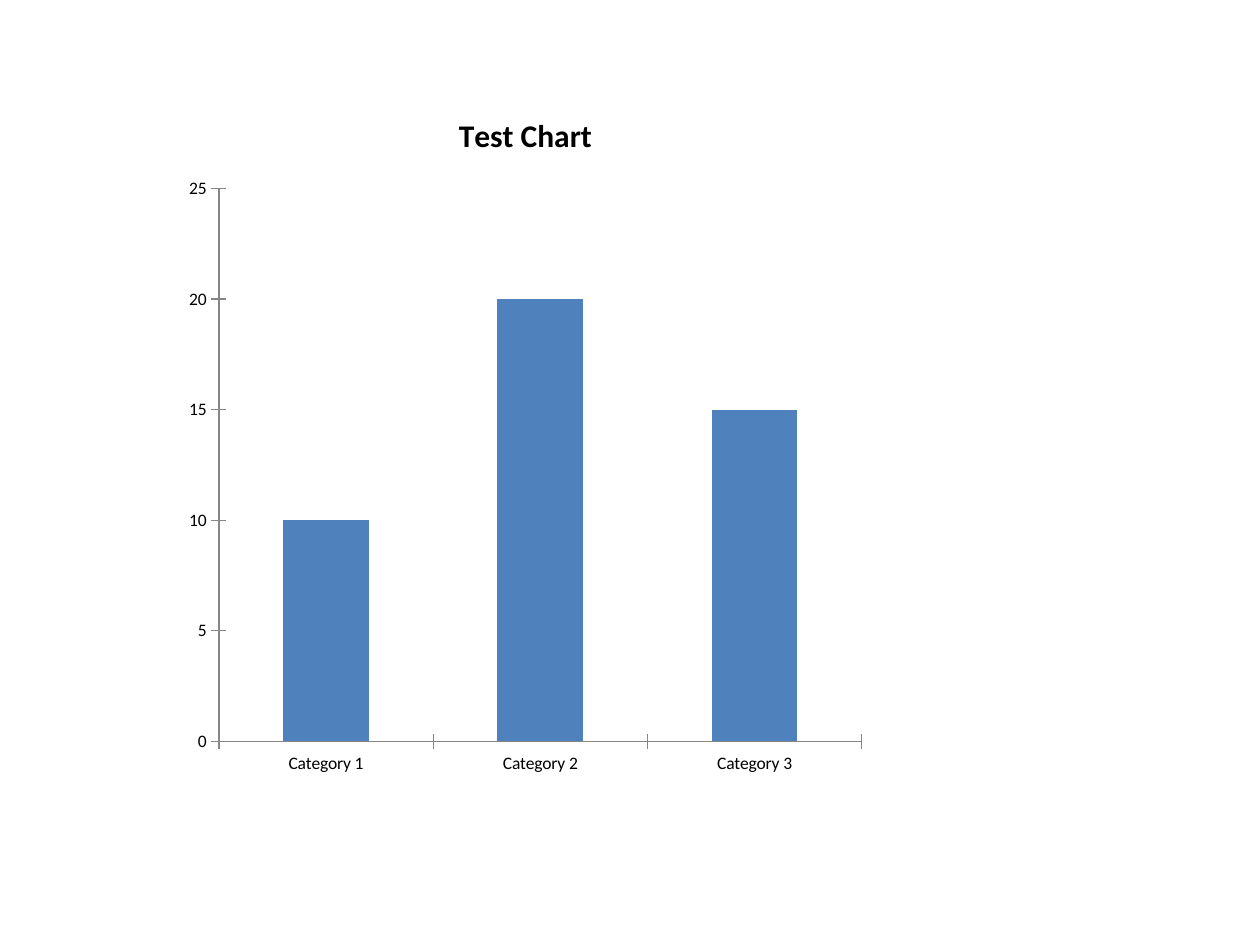
"""Build a slide with one clustered column chart."""
from pptx import Presentation
from pptx.chart.data import CategoryChartData
from pptx.dml.color import RGBColor
from pptx.enum.chart import XL_CHART_TYPE, XL_TICK_MARK
from pptx.util import Inches, Pt

COLUMNS = XL_CHART_TYPE.COLUMN_CLUSTERED
CROSS = XL_TICK_MARK.CROSS
FONT = "Calibri"
COLORS = {"text": "000000", "axis": "868686", "bar": "4F81BD"}


def color(name):
    return RGBColor.from_string(COLORS[name])


def style_font(font, size, bold=False):
    font.name = FONT
    font.size = Pt(size)
    font.bold = bold
    font.color.rgb = color("text")


def style_axis(axis):
    axis.has_major_gridlines = False
    axis.major_tick_mark = CROSS
    axis.format.line.color.rgb = color("axis")
    axis.format.line.width = Pt(0.75)


def add_title(chart, text):
    chart.has_title = True
    para = chart.chart_title.text_frame.paragraphs[0]
    span = para.add_run()
    span.text = text
    style_font(span.font, 18, bold=True)


def add_column_chart(page):
    data = CategoryChartData()
    data.categories = ["Category 1", "Category 2", "Category 3"]
    data.add_series("Series 1", [10, 20, 15])
    side = Inches(5.56)
    chart = page.shapes.add_chart(
        COLUMNS, Inches(1.39), Inches(0.69), side, side, data
    ).chart
    style_font(chart.font, 10)
    chart.has_legend = False
    add_title(chart, "Test Chart")
    for axis in (chart.category_axis, chart.value_axis):
        style_axis(axis)
    chart.value_axis.minimum_scale = 0
    chart.value_axis.maximum_scale = 25
    chart.value_axis.major_unit = 5
    plot = chart.plots[0]
    plot.gap_width = 150
    plot.vary_by_categories = False
    fill = plot.series[0].format.fill
    fill.solid()
    fill.fore_color.rgb = color("bar")


def main():
    deck = Presentation()
    deck.slide_width = Inches(10)
    deck.slide_height = Inches(7.5)
    page = deck.slides.add_slide(deck.slide_layouts[6])
    add_column_chart(page)
    deck.save("out.pptx")


if __name__ == "__main__":
    main()
